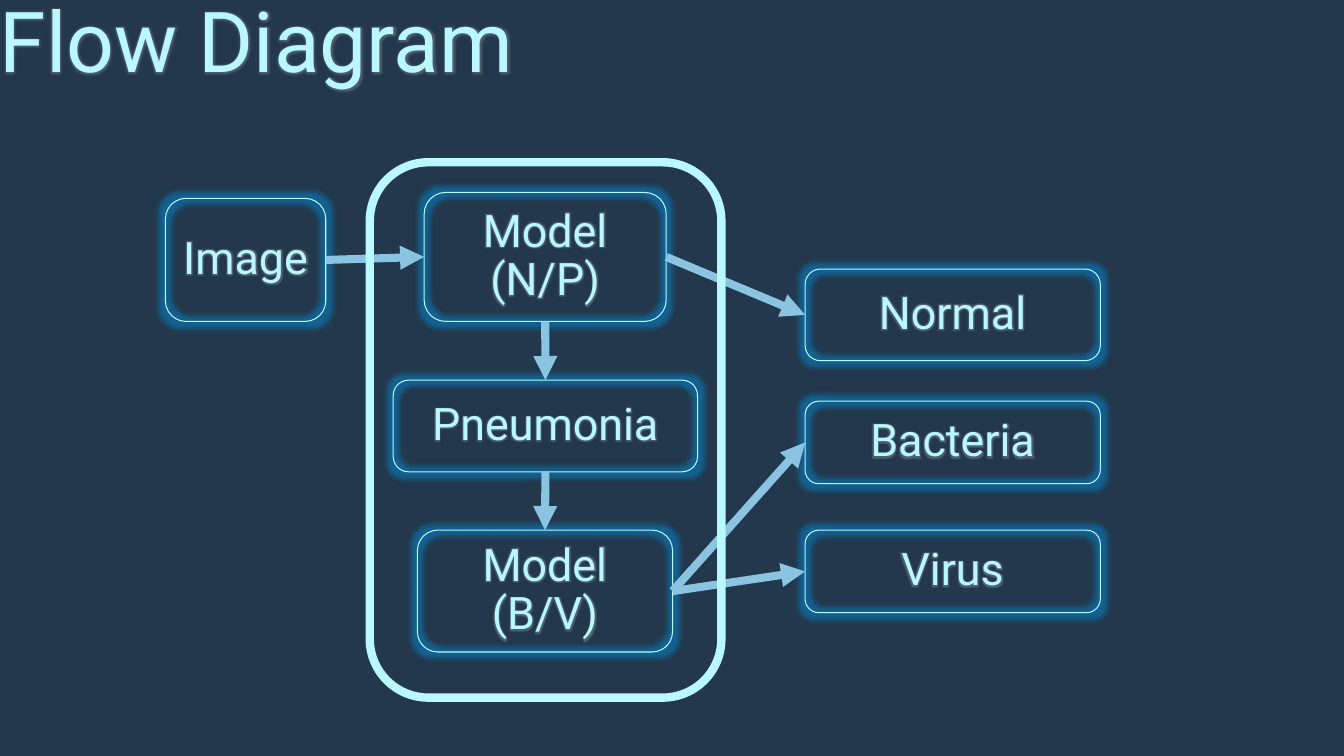
from dataclasses import dataclass

import pptx
import pptx.dml.color
import pptx.enum.shapes
import pptx.enum.text
import pptx.oxml
import pptx.oxml.ns
import pptx.util
from pptx.util import Cm


@dataclass(frozen=True)
class Theme:
    font: str = "Roboto"
    background: str = "23384C"
    ice: str = "BAF8FF"
    arrow: str = "8BC4E0"
    box_glow: str = "0C74B0"
    text_glow: str = "FFFFFF"
    title_size: int = 60
    label_size: int = 32


theme = Theme()
rgb = pptx.dml.color.RGBColor.from_string
SHAPE = pptx.enum.shapes.MSO_SHAPE
ALIGN = pptx.enum.text.PP_ALIGN


def effects(color=None, radius=0, alpha=0):
    """Return an a:effectLst, holding a glow if a colour is given."""
    glow = ""
    if color:
        glow = (f'<a:glow rad="{pptx.util.Pt(radius)}"><a:srgbClr val="{color}">'
                f'<a:alpha val="{alpha * 1000}"/></a:srgbClr></a:glow>')
    ns = pptx.oxml.ns.nsdecls("a")
    return pptx.oxml.parse_xml(f"<a:effectLst {ns}>{glow}</a:effectLst>")


def write(sp, text, size, align, spacing, inset=0):
    tf = sp.text_frame
    tf.word_wrap = True
    tf.vertical_anchor = pptx.enum.text.MSO_ANCHOR.MIDDLE
    tf.margin_left = tf.margin_right = Cm(inset)
    tf.margin_top = tf.margin_bottom = 0
    p = tf.paragraphs[0]
    p.alignment = align
    p.line_spacing = spacing
    r = p.add_run()
    r.text = text
    r.font.size = pptx.util.Pt(size)
    r.font.color.rgb = rgb(theme.ice)
    r.font._element.append(effects(theme.text_glow, 4, 20))
    r.font.name = theme.font


prs = pptx.Presentation()
prs.slide_width, prs.slide_height = Cm(33.87), Cm(19.05)
s = prs.slides.add_slide(prs.slide_layouts[6])
s.background.fill.solid()
s.background.fill.fore_color.rgb = rgb(theme.background)

# Boxes: left, top, width, height in centimetres
boxes = {
    "Image": (4.17, 5, 4.04, 3.1),
    "Model (N/P)": (10.69, 4.85, 6.1, 3.25),
    "Pneumonia": (9.91, 9.58, 7.67, 2.31),
    "Model (B/V)": (10.52, 13.36, 6.43, 3.07),
    "Normal": (20.29, 6.78, 7.44, 2.31),
    "Bacteria": (20.29, 10.11, 7.44, 2.08),
    "Virus": (20.29, 13.36, 7.44, 2.08),
}
nodes = {}
for label, place in boxes.items():
    sp = s.shapes.add_shape(SHAPE.ROUNDED_RECTANGLE, *map(Cm, place))
    sp.fill.background()
    sp.line.color.rgb = rgb(theme.ice)
    sp.line.width = pptx.util.Pt(0.75)
    sp._element.spPr.append(effects(theme.box_glow, 8, 70))
    write(sp, label, theme.label_size, ALIGN.CENTER, 0.9, inset=0.25)
    nodes[label] = sp

# Arrows join the connection sites of the boxes
TOP, LEFT, BOTTOM, RIGHT = range(4)
flows = [
    ("Image", RIGHT, "Model (N/P)", LEFT),
    ("Model (N/P)", BOTTOM, "Pneumonia", TOP),
    ("Model (N/P)", RIGHT, "Normal", LEFT),
    ("Pneumonia", BOTTOM, "Model (B/V)", TOP),
    ("Model (B/V)", RIGHT, "Virus", LEFT),
    ("Model (B/V)", RIGHT, "Bacteria", LEFT),
]
for start, start_site, end, end_site in flows:
    arrow = s.shapes.add_connector(
        pptx.enum.shapes.MSO_CONNECTOR.STRAIGHT, 0, 0, 0, 0)
    arrow.begin_connect(nodes[start], start_site)
    arrow.end_connect(nodes[end], end_site)
    arrow.line.color.rgb = rgb(theme.arrow)
    arrow.line.width = pptx.util.Pt(5.75)
    ln = arrow.line._get_or_add_ln()
    ln.append(pptx.oxml.parse_xml(
        f'<a:tailEnd {pptx.oxml.ns.nsdecls("a")} type="triangle"/>'))
    arrow._element.spPr.append(effects())

frame = s.shapes.add_shape(
    SHAPE.ROUNDED_RECTANGLE, Cm(9.32), Cm(4.09), Cm(8.86), Cm(13.49))
frame.shadow.inherit = False
frame.fill.background()
frame.line.color.rgb = rgb(theme.ice)
frame.line.width = pptx.util.Pt(6)

title = s.shapes.add_textbox(0, Cm(-0.5), Cm(15), Cm(2.56))
write(title, "Flow Diagram", theme.title_size, ALIGN.LEFT, 1.15)

prs.save("out.pptx")
